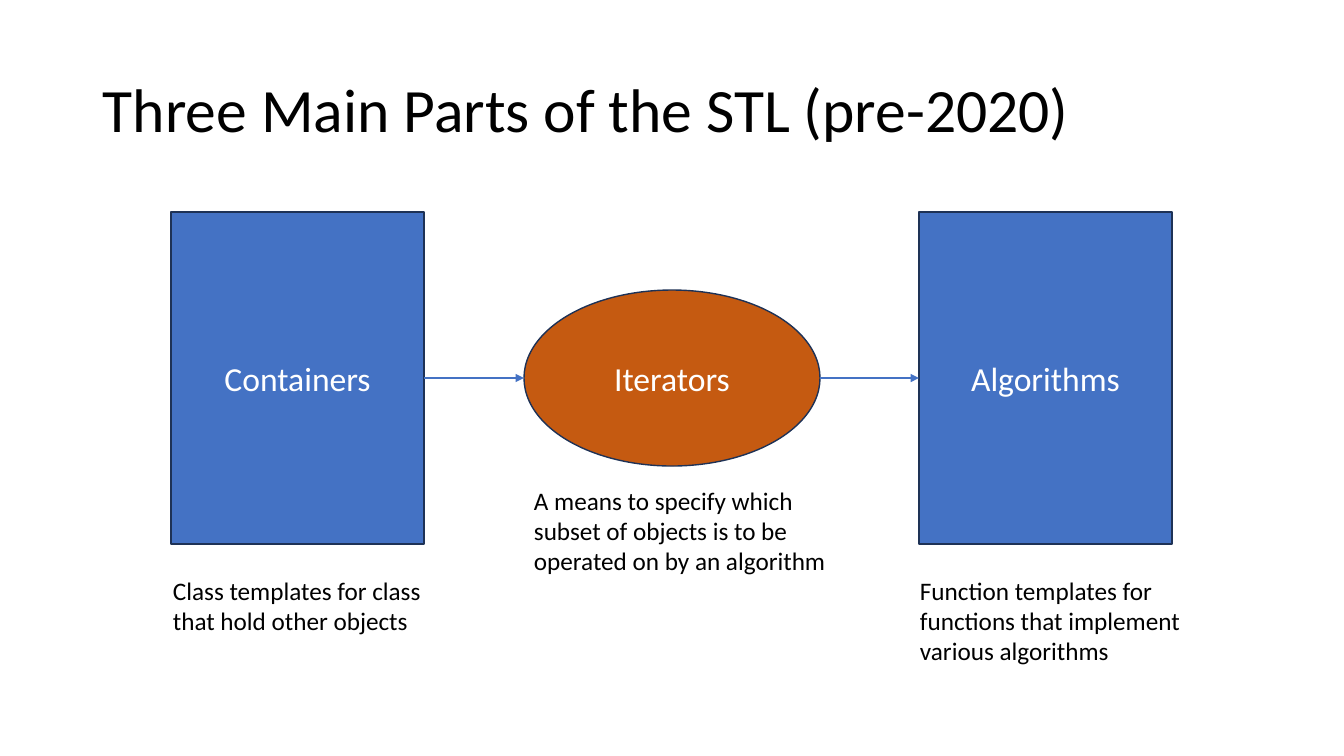
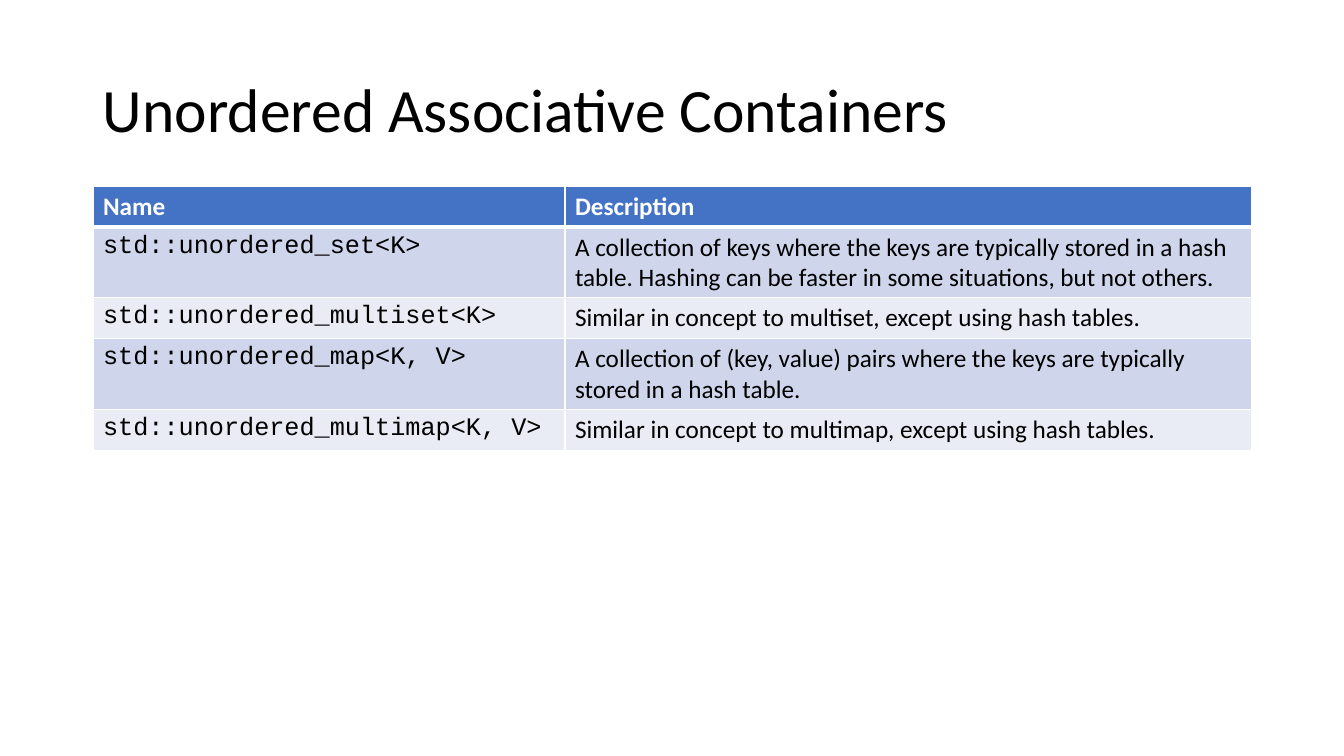
from dataclasses import dataclass

from lxml import etree
from pptx import Presentation
from pptx.dml.color import RGBColor
from pptx.enum import shapes, text
from pptx.oxml.ns import qn
from pptx.util import Emu, Pt

# Shared style
PX = 914400 / 100.8
WHITE = RGBColor(0xFF, 0xFF, 0xFF)
BLACK = RGBColor(0x00, 0x00, 0x00)
BLUE = RGBColor(0x44, 0x72, 0xC4)
ORANGE = RGBColor(0xC5, 0x5A, 0x11)
NAVY = RGBColor(0x1E, 0x32, 0x56)
BANDS = (RGBColor(0xCF, 0xD5, 0xEA), RGBColor(0xE9, 0xEB, 0xF5))
BODY_FONT = "Calibri"
CODE_FONT = "Courier New"
MARGIN, CONTENT_W = 93, 1159
RECT = shapes.MSO_SHAPE.RECTANGLE
OVAL = shapes.MSO_SHAPE.OVAL


@dataclass(frozen=True)
class Box:
    x: int
    y: int
    w: int
    h: int

    def emu(self) -> list[Emu]:
        return [px(n) for n in (self.x, self.y, self.w, self.h)]


@dataclass(frozen=True)
class Part:
    name: str
    kind: shapes.MSO_SHAPE
    box: Box
    color: RGBColor
    caption: tuple[str, ...]
    caption_box: Box


def px(n: float) -> Emu:
    return Emu(round(n * PX))


# Drawing functions
def write(tf, *lines: str, size: int = 18, color: RGBColor = BLACK,
          font: str = BODY_FONT, bold: bool = False,
          align=text.PP_ALIGN.LEFT, spacing: float = 1.0) -> None:
    for i, line in enumerate(lines):
        p = tf.add_paragraph() if i else tf.paragraphs[0]
        p.alignment, p.line_spacing = align, spacing
        r = p.add_run()
        r.text = line
        r.font.name, r.font.size, r.font.bold = font, Pt(size), bold
        r.font.color.rgb = color


def add_slide(prs, title: str):
    s = prs.slides.add_slide(prs.slide_layouts[6])
    tf = s.shapes.add_textbox(*Box(MARGIN, 40, CONTENT_W, 146).emu()).text_frame
    tf.word_wrap = True
    tf.vertical_anchor = text.MSO_ANCHOR.MIDDLE
    write(tf, title, size=44, spacing=0.9)
    return s


def add_part(s, part: Part) -> None:
    sp = s.shapes.add_shape(part.kind, *part.box.emu())
    sp.shadow.inherit = False
    sp.fill.solid()
    sp.fill.fore_color.rgb = part.color
    sp.line.color.rgb, sp.line.width = NAVY, Pt(1)
    sp.text_frame.vertical_anchor = text.MSO_ANCHOR.MIDDLE
    write(sp.text_frame, part.name, size=24, color=WHITE,
          align=text.PP_ALIGN.CENTER)

    tf = s.shapes.add_textbox(*part.caption_box.emu()).text_frame
    tf.word_wrap = False
    tf.auto_size = text.MSO_AUTO_SIZE.SHAPE_TO_FIT_TEXT
    write(tf, *part.caption)


def add_arrow(s, start: Box, end: Box) -> None:
    y = px(start.y + start.h / 2)
    sp = s.shapes.add_connector(shapes.MSO_CONNECTOR.STRAIGHT,
                                px(start.x + start.w), y, px(end.x), y)
    sp.line.color.rgb, sp.line.width = BLUE, Pt(2)
    etree.SubElement(sp.line._get_or_add_ln(), qn("a:tailEnd"), type="triangle")
    etree.SubElement(sp._element.spPr, qn("a:effectLst"))


def set_borders(cell, bottom: int = 1, top: int = 1) -> None:
    widths = {"a:lnL": 1, "a:lnR": 1, "a:lnT": top, "a:lnB": bottom}
    for i, (tag, width) in enumerate(widths.items()):
        ln = etree.Element(qn(tag), w=str(Pt(width)))
        fill = etree.SubElement(ln, qn("a:solidFill"))
        etree.SubElement(fill, qn("a:srgbClr"), val=str(WHITE))
        cell._tc.get_or_add_tcPr().insert(i, ln)


def add_grid(s, rows: list[tuple[str, str]], col_widths: tuple[int, ...],
             x: int, y: int, row_h: int) -> None:
    box = Box(x, y, sum(col_widths), row_h * len(rows))
    table = s.shapes.add_table(len(rows), len(col_widths), *box.emu()).table
    for column, width in zip(table.columns, col_widths):
        column.width = px(width)
    for i, row in enumerate(rows):
        header = i == 0
        for j, value in enumerate(row):
            cell = table.cell(i, j)
            cell.fill.solid()
            cell.fill.fore_color.rgb = BLUE if header else BANDS[(i - 1) % 2]
            set_borders(cell, bottom=3 if header else 1, top=3 if i == 1 else 1)
            write(cell.text_frame, value, bold=header,
                  color=WHITE if header else BLACK,
                  font=CODE_FONT if j == 0 and not header else BODY_FONT)


prs = Presentation()
prs.slide_width, prs.slide_height = px(1344), px(756)

# Slide 1: parts of the STL
PARTS = [
    Part("Containers", RECT, Box(171, 212, 253, 332), BLUE,
         ("Class templates for class", "that hold other objects"),
         Box(163, 570, 271, 72)),
    Part("Iterators", OVAL, Box(524, 290, 296, 176), ORANGE,
         ("A means to specify which", "subset of objects is to be",
          "operated on by an algorithm"),
         Box(524, 480, 316, 102)),
    Part("Algorithms", RECT, Box(919, 212, 253, 332), BLUE,
         ("Function templates for", "functions that implement",
          "various algorithms"),
         Box(910, 570, 283, 102)),
]
s = add_slide(prs, "Three Main Parts of the STL (pre-2020)")
for part in PARTS:
    add_part(s, part)
for left, right in zip(PARTS, PARTS[1:]):
    add_arrow(s, left.box, right.box)

# Slide 2: unordered containers
CONTAINERS = [
    ("Name", "Description"),
    ("std::unordered_set<K>",
     "A collection of keys where the keys are typically stored in a hash "
     "table. Hashing can be faster in some situations, but not others."),
    ("std::unordered_multiset<K>",
     "Similar in concept to multiset, except using hash tables."),
    ("std::unordered_map<K, V>",
     "A collection of (key, value) pairs where the keys are typically "
     "stored in a hash table."),
    ("std::unordered_multimap<K, V>",
     "Similar in concept to multimap, except using hash tables."),
]
s = add_slide(prs, "Unordered Associative Containers")
add_grid(s, CONTAINERS, (472, CONTENT_W - 472), x=MARGIN, y=186, row_h=41)

prs.save("out.pptx")
